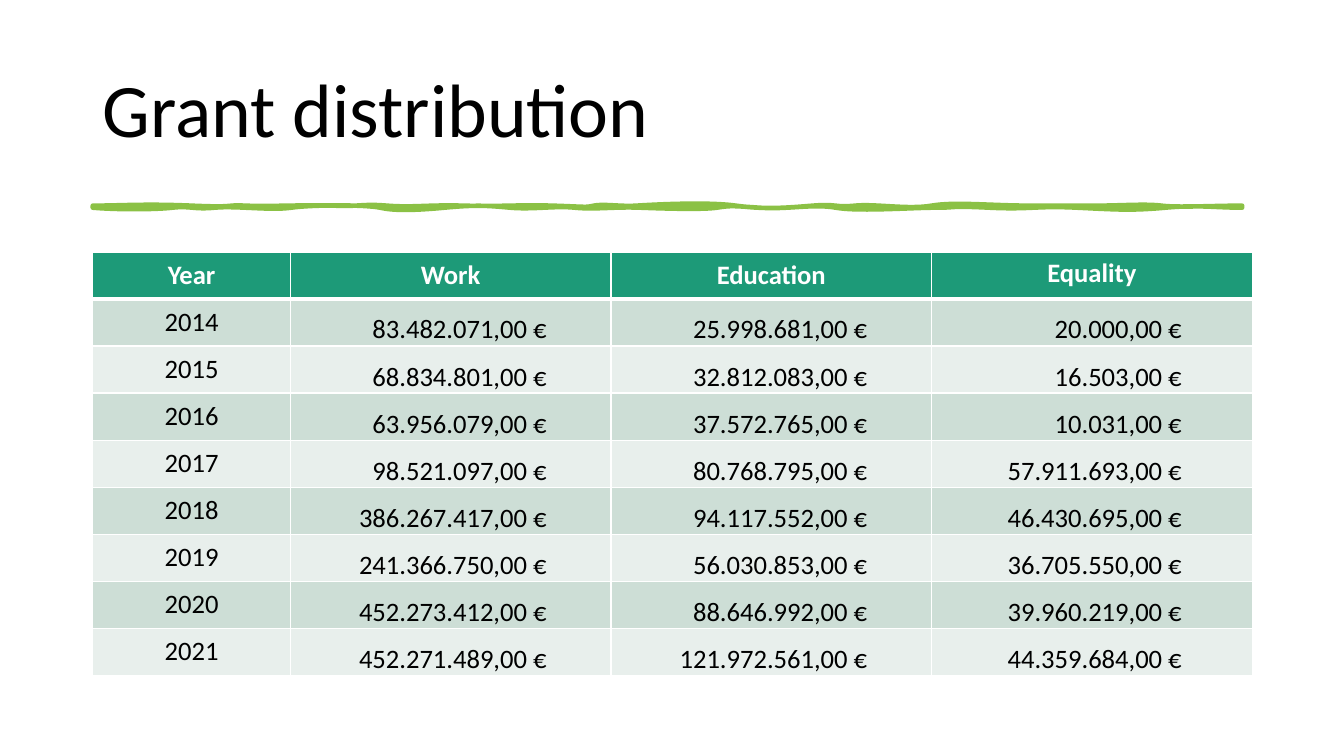
from dataclasses import dataclass

from lxml.etree import SubElement
from pptx import Presentation
from pptx.dml.color import RGBColor
from pptx.enum.text import MSO_ANCHOR as Anchor, PP_ALIGN as Align
from pptx.oxml.ns import qn
from pptx.slide import Slide
from pptx.table import _Cell as Cell
from pptx.util import Inches, Pt


@dataclass(frozen=True)
class Theme:
    font: str = "Calibri"
    title_size: int = 54
    table_size: int = 19
    line_width: float = 3.25
    text: str = "000000"
    white: str = "FFFFFF"
    brush: str = "8BC145"
    header: str = "1D9A78"
    bands: tuple[str, str] = ("CDDED6", "E8EFEC")


@dataclass(frozen=True)
class Column:
    name: str
    width: float
    right_margin: float = 0.11
    align: Align = Align.RIGHT
    header_anchor: Anchor = Anchor.MIDDLE


@dataclass(frozen=True)
class CellStyle:
    fill: str
    color: str
    align: Align
    anchor: Anchor
    margins: tuple[float, float, float, float]  # left, top, right, bottom
    bold: bool = False
    top: float = 1
    bottom: float = 1


THEME = Theme()
LEFT, WIDTH = 0.92, 11.5
TABLE_TOP, TABLE_HEIGHT = 2.5, 4.2
PADDED = (0.11, 0.05, 0.11, 0.05)

COLUMNS = [
    Column("Year", 1.96, align=Align.CENTER),
    Column("Work", 3.18, 0.64),
    Column("Education", 3.18, 0.64),
    Column("Equality", 3.18, 0.7, header_anchor=Anchor.TOP),
]
GRANTS = [
    ("2014", "83.482.071,00 €", "25.998.681,00 €", "20.000,00 €"),
    ("2015", "68.834.801,00 €", "32.812.083,00 €", "16.503,00 €"),
    ("2016", "63.956.079,00 €", "37.572.765,00 €", "10.031,00 €"),
    ("2017", "98.521.097,00 €", "80.768.795,00 €", "57.911.693,00 €"),
    ("2018", "386.267.417,00 €", "94.117.552,00 €", "46.430.695,00 €"),
    ("2019", "241.366.750,00 €", "56.030.853,00 €", "36.705.550,00 €"),
    ("2020", "452.273.412,00 €", "88.646.992,00 €", "39.960.219,00 €"),
    ("2021", "452.271.489,00 €", "121.972.561,00 €", "44.359.684,00 €"),
]

# Each entry is one cubic curve: two control points and an end point.
BRUSH_START = (0.92, 2.04)
BRUSH_UNITS = 1000  # outline units per inch
BRUSH_CURVES = [
    (1.19, 2.04, 1.44, 2.02, 1.9, 2.04), (2.37, 2.06, 2.2, 2.03, 2.44, 2.04),
    (2.67, 2.05, 3.03, 2.03, 3.31, 2.04), (3.6, 2.05, 3.59, 2.02, 3.84, 2.04),
    (4.1, 2.06, 4.23, 2.03, 4.6, 2.04), (4.98, 2.05, 5.14, 2.03, 5.48, 2.04),
    (5.81, 2.05, 5.81, 2.06, 5.89, 2.04), (5.98, 2.02, 6.15, 2.05, 6.31, 2.04),
    (6.47, 2.03, 7.01, 2, 7.3, 2.04), (7.59, 2.08, 7.81, 2.06, 8.06, 2.04),
    (8.31, 2.02, 8.27, 2.06, 8.48, 2.04), (8.68, 2.02, 9.01, 2.08, 9.24, 2.04),
    (9.47, 2, 9.82, 2.04, 10.23, 2.04), (10.63, 2.04, 10.63, 2.04, 10.87, 2.04),
    (11.12, 2.04, 11.36, 2.02, 11.52, 2.04), (11.68, 2.06, 12.03, 2.04, 12.32, 2.04),
    (12.32, 2.05, 12.32, 2.05, 12.32, 2.06), (12.05, 2.06, 11.89, 2.03, 11.56, 2.06),
    (11.22, 2.09, 11.1, 2.08, 10.68, 2.06), (10.27, 2.04, 10.23, 2.08, 9.81, 2.06),
    (9.39, 2.04, 9.52, 2.06, 9.28, 2.06), (9.04, 2.06, 8.51, 2.1, 8.29, 2.06),
    (8.06, 2.02, 7.82, 2.08, 7.53, 2.06), (7.24, 2.04, 7.25, 2.04, 7.11, 2.06),
    (6.98, 2.08, 6.61, 2.07, 6.35, 2.06), (6.09, 2.05, 5.9, 2.08, 5.7, 2.06),
    (5.51, 2.04, 5.28, 2.08, 5.06, 2.06), (4.83, 2.04, 4.73, 2.03, 4.41, 2.06),
    (4.09, 2.09, 3.9, 2.09, 3.77, 2.06), (3.63, 2.03, 3.1, 2.03, 2.89, 2.06),
    (2.68, 2.09, 2.35, 2.04, 2.13, 2.06), (1.92, 2.08, 1.89, 2.04, 1.71, 2.06),
    (1.54, 2.08, 1.14, 2.08, 0.92, 2.06), (0.92, 2.05, 0.92, 2.05, 0.92, 2.04),
]


def rgb(color: str) -> RGBColor:
    return RGBColor.from_string(color)


def add_title(s: Slide, text: str) -> None:
    sp = s.shapes.add_textbox(Inches(LEFT), Inches(0.4), Inches(WIDTH), Inches(1.45))
    tf = sp.text_frame
    tf.word_wrap = True
    tf.vertical_anchor = Anchor.MIDDLE
    tf.text = text
    p = tf.paragraphs[0]
    p.line_spacing = 0.9
    f = p.runs[0].font
    f.name, f.size = THEME.font, Pt(THEME.title_size)
    f.color.rgb = rgb(THEME.text)


def add_brush_line(s: Slide) -> None:
    """Outline the curve ends, then bend each straight segment into its curve."""
    x0, y0 = BRUSH_START
    builder = s.shapes.build_freeform(
        x0 * BRUSH_UNITS, y0 * BRUSH_UNITS, scale=Inches(1) / BRUSH_UNITS)
    builder.add_line_segments(
        [(x * BRUSH_UNITS, y * BRUSH_UNITS) for *_, x, y in BRUSH_CURVES], close=True)
    sp = builder.convert_to_shape()
    segments = list(sp._element.iter(qn("a:lnTo")))
    for segment, curve in zip(segments, BRUSH_CURVES):
        segment.tag = qn("a:cubicBezTo")
        segment.remove(segment[0])
        for x, y in zip(curve[::2], curve[1::2]):
            SubElement(segment, qn("a:pt"), x=str(round((x - x0) * BRUSH_UNITS)),
                       y=str(round((y - y0) * BRUSH_UNITS)))
    sp.shadow.inherit = False
    sp.fill.solid()
    sp.fill.fore_color.rgb = rgb(THEME.brush)
    sp.line.color.rgb = rgb(THEME.brush)
    sp.line.width = Pt(THEME.line_width)


def fill_cell(cell: Cell, text: str, style: CellStyle) -> None:
    cell.text = text
    cell.vertical_anchor = style.anchor
    (cell.margin_left, cell.margin_top,
     cell.margin_right, cell.margin_bottom) = map(Inches, style.margins)
    p = cell.text_frame.paragraphs[0]
    p.alignment = style.align
    f = p.runs[0].font
    f.name, f.size, f.bold = THEME.font, Pt(THEME.table_size), style.bold
    f.color.rgb = rgb(style.color)

    tc_pr = cell._tc.get_or_add_tcPr()
    for side, width in (("L", 1), ("R", 1), ("T", style.top), ("B", style.bottom)):
        ln = SubElement(tc_pr, qn(f"a:ln{side}"), w=str(Pt(width)))
        solid = SubElement(ln, qn("a:solidFill"))
        SubElement(solid, qn("a:srgbClr"), val=THEME.white)
    cell.fill.solid()
    cell.fill.fore_color.rgb = rgb(style.fill)


def add_grant_table(s: Slide) -> None:
    count = len(GRANTS) + 1
    table = s.shapes.add_table(
        count, len(COLUMNS), Inches(LEFT), Inches(TABLE_TOP),
        Inches(WIDTH), Inches(TABLE_HEIGHT)).table
    for c, col in enumerate(COLUMNS):
        table.columns[c].width = Inches(col.width)
        fill_cell(table.cell(0, c), col.name, CellStyle(
            THEME.header, THEME.white, Align.CENTER, col.header_anchor,
            PADDED, bold=True, bottom=3))
        is_year = col.align == Align.CENTER
        anchor = Anchor.MIDDLE if is_year else Anchor.BOTTOM
        margins = PADDED if is_year else (0.01, 0.01, col.right_margin, 0)
        for r, grant in enumerate(GRANTS):
            fill_cell(table.cell(r + 1, c), grant[c], CellStyle(
                THEME.bands[r % 2], THEME.text, col.align, anchor, margins,
                top=3 if r == 0 else 1))


def main() -> None:
    prs = Presentation()
    prs.slide_width, prs.slide_height = Inches(13.33), Inches(7.5)
    s = prs.slides.add_slide(prs.slide_layouts[6])
    add_title(s, "Grant distribution")
    add_brush_line(s)
    add_grant_table(s)
    prs.save("out.pptx")


if __name__ == "__main__":
    main()
